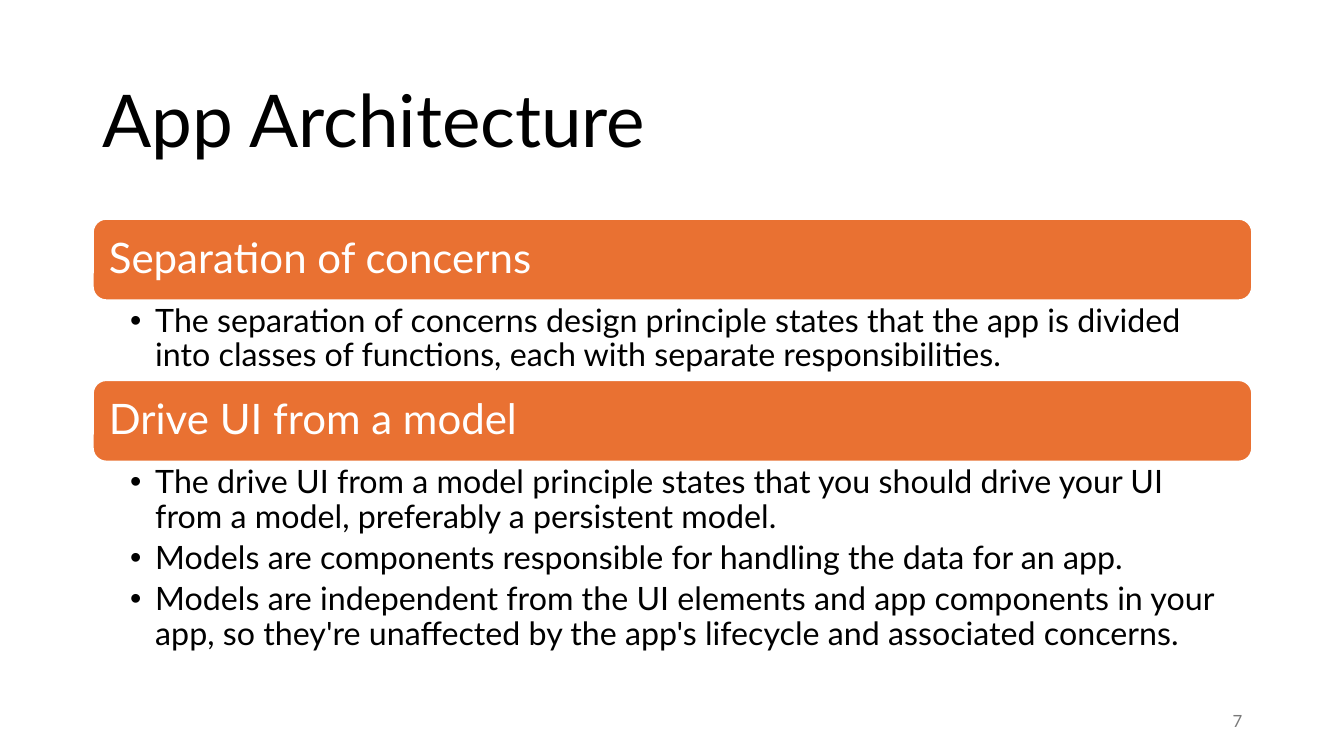
from lxml import etree
from pptx import Presentation
from pptx.dml.color import RGBColor
from pptx.enum.shapes import MSO_SHAPE
from pptx.enum.text import MSO_ANCHOR, PP_ALIGN
from pptx.oxml.ns import qn
from pptx.util import Inches, Pt

ROUND = MSO_SHAPE.ROUNDED_RECTANGLE
TOP = MSO_ANCHOR.TOP
MIDDLE = MSO_ANCHOR.MIDDLE
LEFT = PP_ALIGN.LEFT
RIGHT = PP_ALIGN.RIGHT

BLACK = RGBColor(0x00, 0x00, 0x00)
WHITE = RGBColor(0xFF, 0xFF, 0xFF)
ORANGE = RGBColor(0xE9, 0x71, 0x32)
GRAY = RGBColor(0x79, 0x79, 0x79)

FONT = "Lato"
EDGE = 0.92
WIDTH = 11.5
BAR = 0.81
INSET = 0.04

PARTS = [
    (2.17, 0.8, "Separation of concerns", [
        "The separation of concerns design principle states that the app is "
        "divided into classes of functions, each with separate responsibilities.",
    ]),
    (3.77, 2, "Drive UI from a model", [
        "The drive UI from a model principle states that you should drive your "
        "UI from a model, preferably a persistent model.",
        "Models are components responsible for handling the data for an app.",
        "Models are independent from the UI elements and app components in your "
        "app, so they're unaffected by the app's lifecycle and associated concerns.",
    ]),
]


def add_bullet(para):
    props = para._p.get_or_add_pPr()
    props.set("marL", str(Inches(0.25)))
    props.set("indent", str(Inches(-0.25)))
    etree.SubElement(props, qn("a:buFont")).set("typeface", "Arial")
    etree.SubElement(props, qn("a:buChar")).set("char", "•")


def add_text(slide, box, lines, size, color, anchor=MIDDLE, align=LEFT,
             pads=(0.1, 0.05, 0.1, 0.05), bullet=False, line=0.9, after=0):
    frame = slide.shapes.add_textbox(*map(Inches, box)).text_frame
    frame.word_wrap = True
    frame.vertical_anchor = anchor
    (frame.margin_left, frame.margin_top,
     frame.margin_right, frame.margin_bottom) = map(Inches, pads)
    for index, text in enumerate(lines):
        para = frame.add_paragraph() if index else frame.paragraphs[0]
        if bullet:
            add_bullet(para)
        para.alignment = align
        para.line_spacing = line
        para.space_after = Pt(after)
        run = para.add_run()
        run.text = text
        run.font.name = FONT
        run.font.size = Pt(size)
        run.font.color.rgb = color


def add_bar(slide, top, label):
    bar = slide.shapes.add_shape(
        ROUND, Inches(EDGE), Inches(top), Inches(WIDTH), Inches(BAR))
    bar.shadow.inherit = False
    bar.fill.solid()
    bar.fill.fore_color.rgb = ORANGE
    bar.line.color.rgb = WHITE
    bar.line.width = Pt(1.5)
    box = (EDGE + INSET, top + INSET, WIDTH - 2 * INSET, BAR - 2 * INSET)
    add_text(slide, box, [label], 30, WHITE, pads=(0.12,) * 4)


def add_part(slide, top, height, label, points):
    add_bar(slide, top, label)
    add_text(slide, (EDGE, top + BAR, WIDTH, height), points, 23, BLACK,
             anchor=TOP, pads=(0.37, 0.04, 0.23, 0.04), bullet=True, after=4.6)


def main():
    deck = Presentation()
    deck.slide_width = Inches(13.33)
    deck.slide_height = Inches(7.5)
    slide = deck.slides.add_slide(deck.slide_layouts[6])
    add_text(slide, (EDGE, 0.61, WIDTH, 1.24), ["App Architecture"], 52, BLACK)
    for part in PARTS:
        add_part(slide, *part)
    add_text(slide, (9.42, 6.95, 3, 0.4), ["7"], 12, GRAY, align=RIGHT, line=1.0)
    deck.save("out.pptx")


if __name__ == "__main__":
    main()
